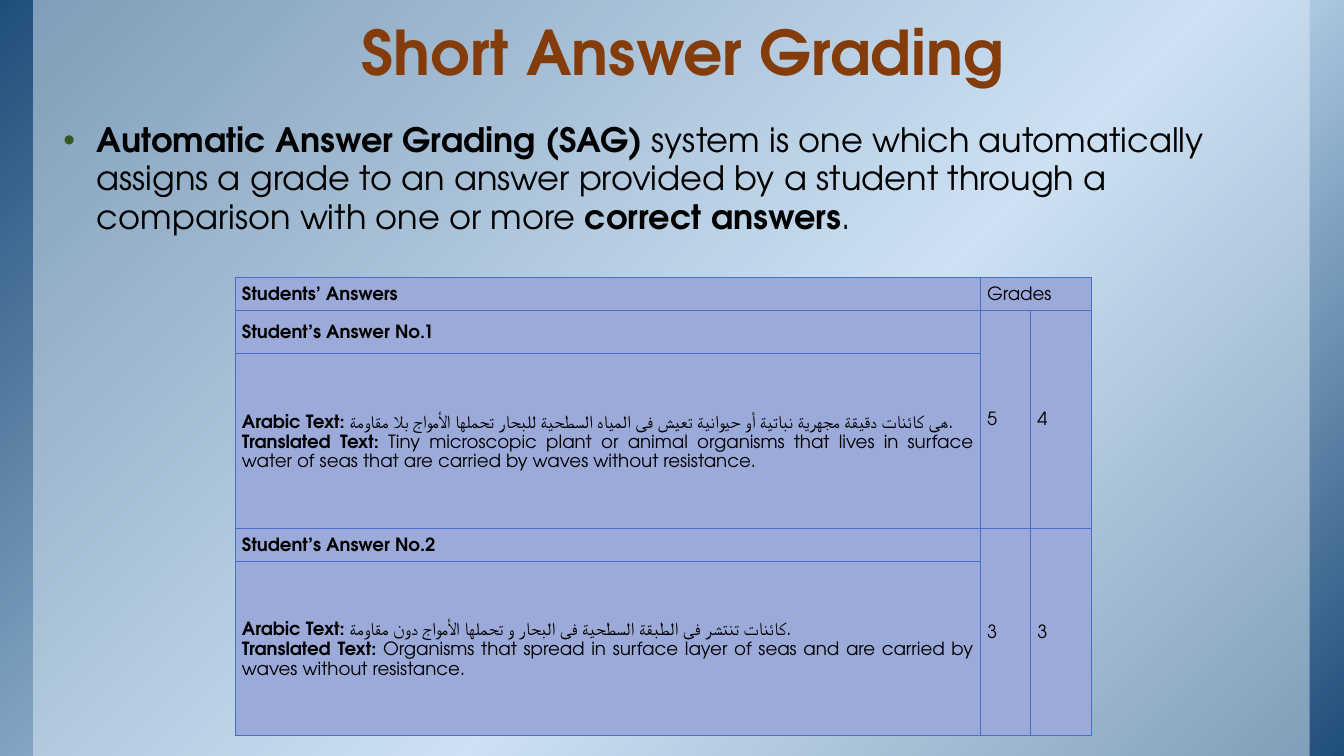
from lxml import etree
from pptx import Presentation
from pptx.dml.color import RGBColor
from pptx.enum.shapes import MSO_SHAPE as SHAPE
from pptx.enum.text import MSO_ANCHOR as ANCHOR, PP_ALIGN as ALIGN
from pptx.oxml import parse_xml
from pptx.oxml.ns import nsdecls, qn
from pptx.util import Inches, Pt

FONT = "TeX Gyre Adventor"
NAVY = RGBColor(0x1F, 0x4E, 0x79)
SKY = RGBColor(0xBD, 0xD7, 0xEE)
PALE = RGBColor(0xDE, 0xEB, 0xF7)
BROWN = RGBColor(0x84, 0x3C, 0x0B)
BLACK = RGBColor(0, 0, 0)
GREEN = RGBColor(0x38, 0x57, 0x23)
CELL = RGBColor(0x9B, 0xAA, 0xD9)
BORDER = RGBColor(0x44, 0x72, 0xC4)

DEFINITION = [
    ("Automatic Answer Grading (SAG)", True),
    (" system is one which automatically assigns a grade to an answer provided "
     "by a student through a comparison with one or more ", False),
    ("correct answers", True),
    (".", False),
]
ANSWERS = [
    ("هى كائنات دقيقة مجهرية نباتية أو حيوانية تعيش فى المياه السطحية للبحار "
     "تحملها الأمواج بلا مقاومة.",
     "Tiny microscopic plant or animal organisms that lives in surface water of "
     "seas that are carried by waves without resistance.", ("5", "4")),
    ("كائنات تنتشر فى الطبقة السطحية فى البحار و تحملها الأمواج دون مقاومة.",
     "Organisms that spread in surface layer of seas and are carried by waves "
     "without resistance.", ("3", "3")),
]
COLUMN_WIDTHS = [7.39, 0.5, 0.6]
ROW_HEIGHTS = [0.33, 0.43, 1.73, 0.33, 1.73]


def write_runs(paragraph, pieces, size, color):
    """Write (text, bold) pieces into a paragraph."""
    for text, bold in pieces:
        run = paragraph.add_run()
        run.text = text
        run.font.name = FONT
        run.font.size = Pt(size)
        run.font.bold = bold
        run.font.color.rgb = color


def set_insets(frame):
    """Give a text frame the margins used on this slide."""
    frame.margin_left = frame.margin_right = Inches(0.13)
    frame.margin_top = frame.margin_bottom = Inches(0.07)
    frame.word_wrap = True


def add_panel(slide, box, depth):
    """Add a plain rectangle at the given depth behind the title."""
    panel = slide.shapes.add_shape(SHAPE.RECTANGLE, *map(Inches, box))
    panel.shadow.inherit = False
    panel.line.fill.background()
    slide.shapes._spTree.insert(2 + depth, panel._element)
    return panel


def add_backdrop(slide, width, height):
    """Draw the diagonal gradient and the translucent sheet over it."""
    gradient = add_panel(slide, (0, 0, width, height), 0)
    gradient.fill.gradient()
    stops = "".join(
        f'<a:gs pos="{position * 1000}"><a:srgbClr val="{color}"/></a:gs>'
        for position, color in ((0, NAVY), (58, SKY), (100, NAVY)))
    properties = gradient._element.spPr
    properties.replace(properties.find(qn("a:gradFill")), parse_xml(
        f'<a:gradFill {nsdecls("a")} rotWithShape="1"><a:gsLst>{stops}</a:gsLst>'
        '<a:lin ang="2700000" scaled="1"/></a:gradFill>'))

    sheet = add_panel(slide, (0.33, 0, width - 0.67, height), 1)
    sheet.fill.solid()
    sheet.fill.fore_color.rgb = PALE
    color = sheet._element.spPr.find(".//" + qn("a:srgbClr"))
    etree.SubElement(color, qn("a:alpha"), val="50000")


def add_title(slide, box):
    """Place and format the slide title."""
    title = slide.shapes.title
    title.left, title.top, title.width, title.height = map(Inches, box)
    frame = title.text_frame
    set_insets(frame)
    frame.vertical_anchor = ANCHOR.BOTTOM
    heading = frame.paragraphs[0]
    heading.alignment = ALIGN.CENTER
    heading.line_spacing = 0.85
    write_runs(heading, [("Short Answer Grading", True)], 44, BROWN)


def add_definition(slide, box):
    """Add the bulleted definition of the grading system."""
    frame = slide.shapes.add_textbox(*map(Inches, box)).text_frame
    set_insets(frame)
    definition = frame.paragraphs[0]
    properties = definition._p.get_or_add_pPr()
    properties.set("marL", str(Inches(0.33)))
    properties.set("indent", str(-Inches(0.33)))
    bullet_color = etree.SubElement(properties, qn("a:buClr"))
    etree.SubElement(bullet_color, qn("a:srgbClr"), val=str(GREEN))
    etree.SubElement(properties, qn("a:buFont"), typeface="Arial")
    etree.SubElement(properties, qn("a:buChar"), char="•")
    definition.line_spacing = 0.95
    write_runs(definition, DEFINITION, 24, BLACK)


def format_cell(cell):
    """Fill a cell and give it thin borders on all sides."""
    cell.margin_left = cell.margin_right = Inches(0.07)
    cell.margin_top = cell.margin_bottom = 0
    cell.vertical_anchor = ANCHOR.MIDDLE
    properties = cell._tc.get_or_add_tcPr()
    for side in ("lnL", "lnR", "lnT", "lnB"):
        properties.append(parse_xml(
            f'<a:{side} {nsdecls("a")} w="{Pt(0.5)}"><a:solidFill>'
            f'<a:srgbClr val="{BORDER}"/></a:solidFill></a:{side}>'))
    cell.fill.solid()
    cell.fill.fore_color.rgb = CELL


def write_cell(cell, *lines):
    """Write one justified paragraph for each line of pieces."""
    frame = cell.text_frame
    for index, pieces in enumerate(lines):
        paragraph = frame.add_paragraph() if index else frame.paragraphs[0]
        paragraph.alignment = ALIGN.JUSTIFY
        paragraph.line_spacing = 1.17
        write_runs(paragraph, pieces, 13, BLACK)


def add_grades(slide, left, top):
    """Add the table of students' answers and their grades."""
    table = slide.shapes.add_table(
        len(ROW_HEIGHTS), len(COLUMN_WIDTHS), Inches(left), Inches(top),
        Inches(sum(COLUMN_WIDTHS)), Inches(sum(ROW_HEIGHTS))).table
    table.first_row = table.horz_banding = False
    for column, width in zip(table.columns, COLUMN_WIDTHS):
        column.width = Inches(width)
    for row, height in zip(table.rows, ROW_HEIGHTS):
        row.height = Inches(height)
        for cell in row.cells:
            format_cell(cell)

    table.cell(0, 1).merge(table.cell(0, 2))
    write_cell(table.cell(0, 0), [("Students’ Answers", True)])
    write_cell(table.cell(0, 1), [("Grades", False)])
    for number, (arabic, translated, grades) in enumerate(ANSWERS, 1):
        first = 2 * number - 1
        write_cell(table.cell(first, 0), [(f"Student’s Answer No.{number}", True)])
        write_cell(table.cell(first + 1, 0),
                   [("Arabic Text: ", True), (arabic, False)],
                   [("Translated Text: ", True), (translated, False)])
        for column, grade in enumerate(grades, 1):
            table.cell(first, column).merge(table.cell(first + 1, column))
            write_cell(table.cell(first, column), [(grade, False)])


def main():
    """Build the slide and save it."""
    deck = Presentation()
    deck.slide_width, deck.slide_height = Inches(13.33), Inches(7.5)
    slide = deck.slides.add_slide(deck.slide_layouts[5])
    add_backdrop(slide, 13.33, 7.5)
    add_title(slide, (1.22, 0.08, 11.11, 0.86))
    add_definition(slide, (0.5, 1.14, 12.17, 6.03))
    add_grades(slide, 2.33, 2.75)
    deck.save("out.pptx")


if __name__ == "__main__":
    main()
